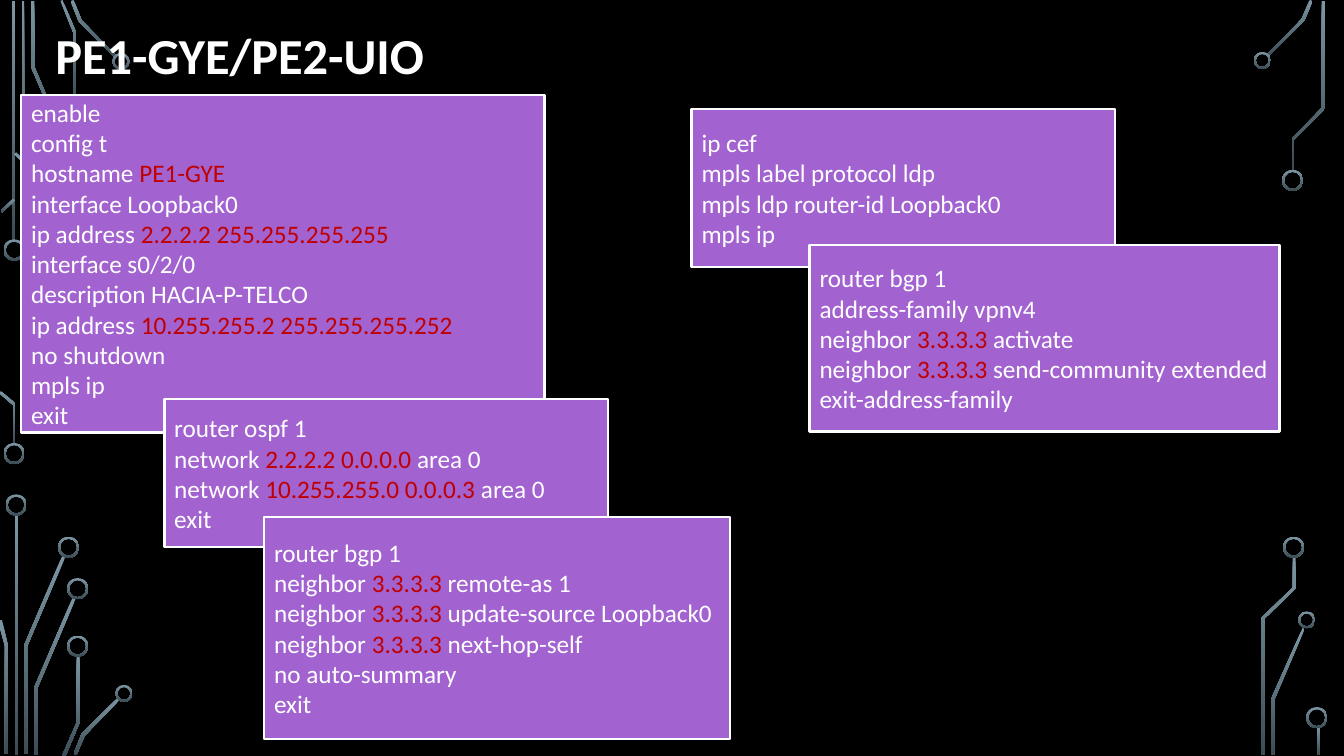
from pptx import Presentation
from pptx.dml.color import RGBColor
from pptx.enum.shapes import MSO_SHAPE
from pptx.enum.text import MSO_ANCHOR, PP_ALIGN
from pptx.util import Inches, Pt

RECTANGLE, DONUT = MSO_SHAPE.RECTANGLE, MSO_SHAPE.DONUT
MIDDLE, LEFT = MSO_ANCHOR.MIDDLE, PP_ALIGN.LEFT

BLACK = RGBColor(0x00, 0x00, 0x00)
WHITE = RGBColor(0xFF, 0xFF, 0xFF)
PURPLE = RGBColor(0xA2, 0x62, 0xD0)
RED = RGBColor(0xC0, 0x00, 0x00)
STEEL_LIGHT = RGBColor(0x7C, 0x96, 0xA3)
STEEL_DARK = RGBColor(0x3B, 0x4C, 0x54)

RING_THICKNESS = 0.02

# Left, top, width, height
BARS = [(0.12, 0.01, 0.03, 2.39), (0.15, 5.1, 0.03, 2.39), (13.06, 7.21, 0.03, 0.28)]

# Diameter: centres
RINGS = {
    0.21: [(0.14, 2.48), (0.14, 4.5), (0.16, 5.01), (0.68, 5.43), (0.77, 5.84),
           (0.77, 6.41), (12.82, 1.79), (12.83, 5.43), (13.06, 7.12)],
    0.17: [(1.2, 0.61), (1.23, 6.88), (12.52, 0.6), (12.96, 6.15)],
    0.12: [(0.29, 2.08)],
}

# Corner points of each circuit trace
TRACES = [
    [(0.6, 1.99), (0.22, 1.09), (0.22, 0.01), (0.24, 0.01), (0.24, 1.09), (0.62, 1.98)],
    [(0.7, 1.57), (0.31, 0.67), (0.31, 0.01), (0.34, 0.01), (0.34, 0.66), (0.72, 1.56)],
    [(0.76, 1), (0.73, 1), (0.73, 0.33), (0.6, 0.01), (0.62, 0), (0.76, 0.33)],
    [(1.15, 0.58), (0.78, 0.21), (0.7, 0.01), (0.73, 0), (0.81, 0.2), (1.16, 0.56)],
    [(0.02, 2.11), (0.01, 2.09), (0.13, 1.97), (0.15, 1.99)],
    [(0.15, 4.41), (0.13, 4.41), (0.13, 4.02), (-0.01, 3.9), (0.01, 3.88), (0.15, 4)],
    [(0.3, 2.03), (0.28, 2.03), (0.28, 1.66), (0.14, 1.53), (0.16, 1.51), (0.3, 1.65)],
    [(0.27, 7.48), (0.24, 7.48), (0.24, 6.4), (0.62, 5.51), (0.65, 5.52), (0.27, 6.41)],
    [(0.08, 7.48), (0.05, 7.48), (0.05, 6.41), (-0.02, 6.16), (0.02, 6.15), (0.08, 6.41)],
    [(0.37, 7.49), (0.34, 7.49), (0.34, 6.82), (0.72, 5.93), (0.75, 5.94), (0.37, 6.83)],
    [(0.65, 7.5), (0.62, 7.49), (0.76, 7.17), (0.76, 6.5), (0.79, 6.5), (0.79, 7.17)],
    [(0.76, 7.49), (0.73, 7.48), (0.81, 7.28), (1.17, 6.92), (1.19, 6.94), (0.84, 7.3)],
    [(12.58, 0.56), (12.56, 0.55), (12.91, 0.19), (12.99, 0), (13.02, 0.01), (12.94, 0.2)],
    [(12.64, 7.49), (12.61, 7.49), (12.61, 6.93), (12.92, 6.23), (12.94, 6.24), (12.64, 6.94)],
    [(12.83, 1.69), (12.81, 1.69), (12.81, 1.38), (13.11, 1.07), (13.11, 0.01),
     (13.14, 0.01), (13.14, 1.08), (12.83, 1.39)],
    [(12.54, 7.49), (12.51, 7.49), (12.51, 6.13), (12.82, 5.83), (12.82, 5.52),
     (12.85, 5.52), (12.85, 5.84), (12.54, 6.14)],
]

# Place of each command box and its lines; text between bars is highlighted
COMMANDS = [
    ((0.21, 0.94, 5.19, 3.35), [
        "enable", "config t", "hostname |PE1-GYE|", "interface Loopback0",
        "ip address |2.2.2.2 255.255.255.255|", "interface s0/2/0",
        "description HACIA-P-TELCO", "ip address |10.255.255.2 255.255.255.252|",
        "no shutdown", "mpls ip", "exit"]),
    ((6.86, 1.08, 4.2, 1.57), [
        "ip cef", "mpls label protocol ldp", "mpls ldp router-id Loopback0", "mpls ip"]),
    ((1.63, 3.96, 4.4, 1.47), [
        "router ospf 1", "network |2.2.2.2 0.0.0.0 |area 0",
        "network |10.255.255.0 0.0.0.3 |area 0", "exit"]),
    ((2.62, 5.13, 4.62, 2.2), [
        "router bgp 1", "neighbor |3.3.3.3 |remote-as 1",
        "neighbor |3.3.3.3| update-source Loopback0",
        "neighbor |3.3.3.3| next-hop-self", "no auto-summary", "exit"]),
    ((8.03, 2.43, 4.66, 1.85), [
        "router bgp 1", "address-family vpnv4", "neighbor |3.3.3.3| activate",
        "neighbor |3.3.3.3| send-community extended", "exit-address-family"]),
]


def add_span(para, text, size=18, color=WHITE, bold=False, font="Calibri"):
    span = para.add_run()
    span.text = text
    span.font.name = font
    span.font.size = Pt(size)
    span.font.bold = bold
    span.font.color.rgb = color


class CircuitSlide:
    def __init__(self, page):
        self.page = page
        self.shapes = page.shapes
        page.background.fill.solid()
        page.background.fill.fore_color.rgb = BLACK

    def paint_steel(self, shape):
        """Give a circuit part its vertical gradient, without outline or shadow."""
        shape.shadow.inherit = False
        shape.line.fill.background()
        shape.fill.gradient()
        shape.fill.gradient_angle = 270
        for stop, color in zip(shape.fill.gradient_stops, (STEEL_LIGHT, STEEL_DARK)):
            stop.color.rgb = color
        for stop, position in zip(shape.fill.gradient_stops, (0, 1)):
            stop.position = position

    def bar(self, place):
        self.paint_steel(self.shapes.add_shape(RECTANGLE, *map(Inches, place)))

    def ring(self, center, diameter):
        left, top = (Inches(value - diameter / 2) for value in center)
        ring = self.shapes.add_shape(DONUT, left, top, Inches(diameter), Inches(diameter))
        ring.adjustments[0] = RING_THICKNESS / diameter
        self.paint_steel(ring)

    def trace(self, corners):
        points = [(Inches(x), Inches(y)) for x, y in corners]
        outline = self.shapes.build_freeform(*points[0])
        outline.add_line_segments(points[1:], close=True)
        self.paint_steel(outline.convert_to_shape())

    def title(self, place, text):
        frame = self.shapes.add_textbox(*map(Inches, place)).text_frame
        frame.word_wrap = True
        frame.vertical_anchor = MIDDLE
        para = frame.paragraphs[0]
        para.line_spacing = 0.9
        add_span(para, text, size=36, bold=True)

    def command_box(self, place, lines):
        box = self.shapes.add_shape(RECTANGLE, *map(Inches, place))
        box.shadow.inherit = False
        box.fill.solid()
        box.fill.fore_color.rgb = PURPLE
        box.line.color.rgb = WHITE
        box.line.width = Pt(1.75)
        frame = box.text_frame
        frame.word_wrap = True
        frame.vertical_anchor = MIDDLE
        for index, line in enumerate(lines):
            para = frame.add_paragraph() if index else frame.paragraphs[0]
            para.alignment = LEFT
            for part, text in enumerate(line.split("|")):
                if text:
                    add_span(para, text, color=RED if part % 2 else WHITE)


def main():
    deck = Presentation()
    deck.slide_width, deck.slide_height = Inches(13.33), Inches(7.5)
    slide = CircuitSlide(deck.slides.add_slide(deck.slide_layouts[6]))
    for place in BARS:
        slide.bar(place)
    for corners in TRACES:
        slide.trace(corners)
    for diameter, centers in RINGS.items():
        for center in centers:
            slide.ring(center, diameter)
    slide.title((0.45, 0.23, 11.5, 0.69), "PE1-GYE/PE2-UIO")
    for place, lines in COMMANDS:
        slide.command_box(place, lines)
    deck.save("out.pptx")


if __name__ == "__main__":
    main()
